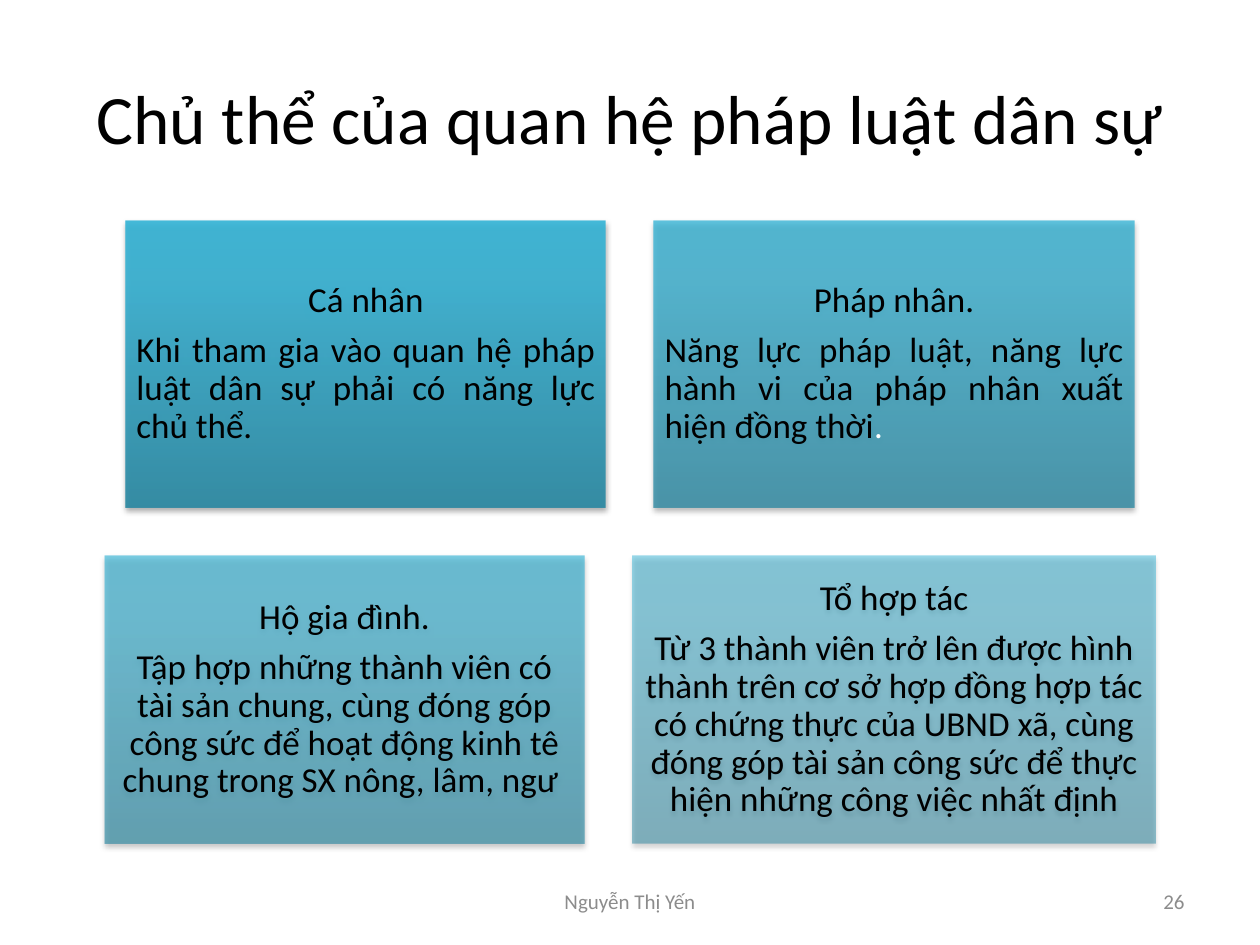
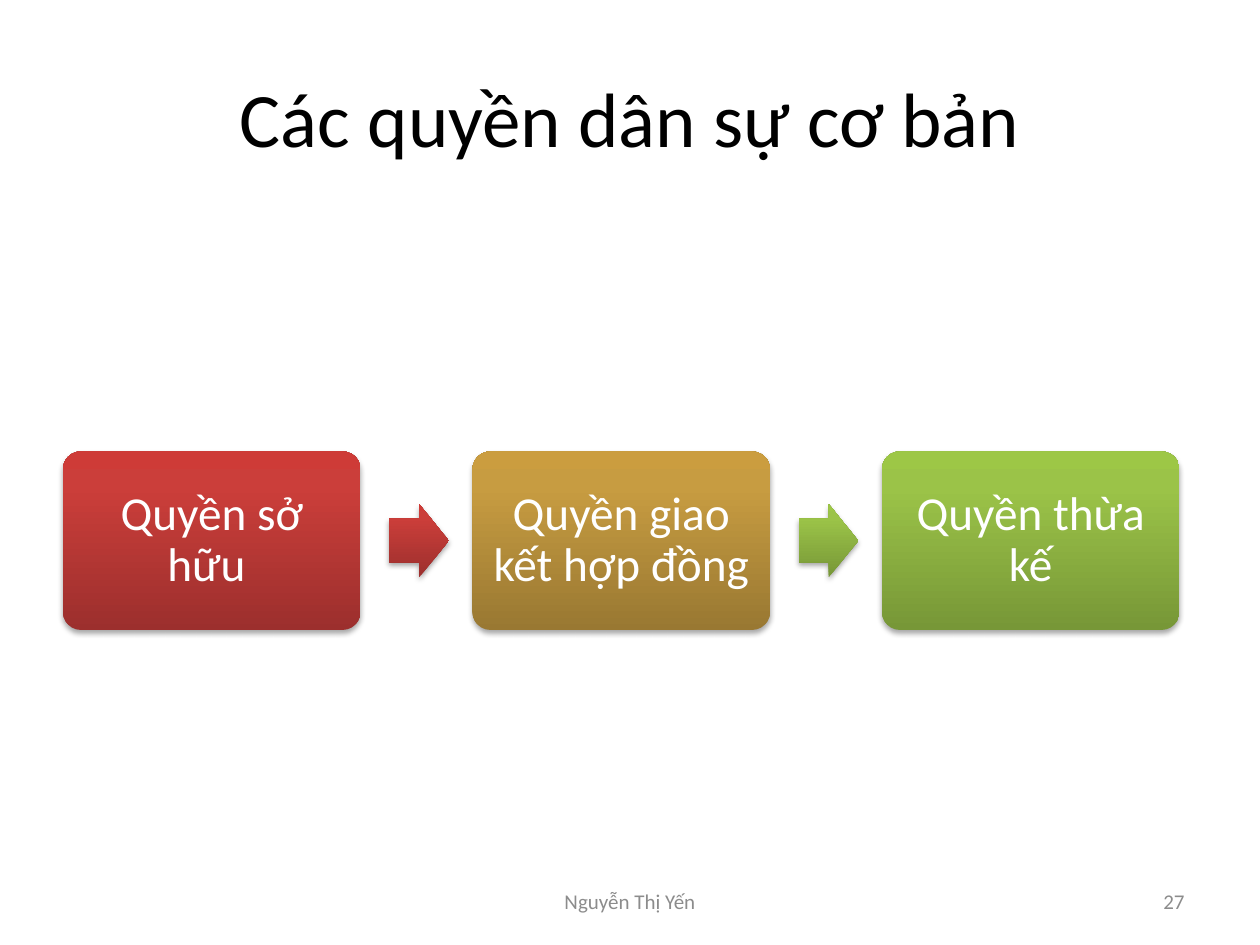
from dataclasses import dataclass

from pptx import Presentation
from pptx.dml.color import RGBColor
from pptx.enum.shapes import MSO_SHAPE
from pptx.enum.text import MSO_ANCHOR, PP_ALIGN
from pptx.oxml import parse_xml
from pptx.oxml.ns import nsdecls, qn
from pptx.util import Pt

RECT = MSO_SHAPE.RECTANGLE
ROUND = MSO_SHAPE.ROUNDED_RECTANGLE
ARROW = MSO_SHAPE.RIGHT_ARROW
MIDDLE = MSO_ANCHOR.MIDDLE
CENTER = PP_ALIGN.CENTER
RIGHT = PP_ALIGN.RIGHT
JUSTIFY = PP_ALIGN.JUSTIFY


@dataclass(frozen=True)
class Theme:
    font: str = "Calibri"
    black: str = "000000"
    white: str = "FFFFFF"
    grey: str = "8C8C8C"
    teal: tuple = ("2A88A2", "37B1D2", "34B4D6")
    red: tuple = ("9C2F2D", "CB3E3A", "CE3B37")
    gold: tuple = ("997832", "C79C41", "CB9D3F")
    green: tuple = ("779737", "9BC348", "9DC746")
    body: float = 20
    step: float = 27
    foot: float = 12


theme = Theme()


def add_panel(slide, kind, box, tones, alpha=100):
    panel = slide.shapes.add_shape(kind, *map(Pt, box))
    panel.line.fill.background()
    panel.fill.background()
    panel.shadow.inherit = False
    props = panel.element.spPr
    stops = "".join(
        f'<a:gs pos="{pos}000"><a:srgbClr val="{tone}">'
        f'<a:alpha val="{alpha}000"/></a:srgbClr></a:gs>'
        for pos, tone in zip((0, 80, 100), tones)
    )
    props.replace(props.find(qn("a:noFill")), parse_xml(
        f'<a:gradFill {nsdecls("a")} rotWithShape="1"><a:gsLst>{stops}</a:gsLst>'
        '<a:lin ang="16200000" scaled="0"/></a:gradFill>'
    ))
    props.find(qn("a:effectLst")).append(parse_xml(
        f'<a:outerShdw {nsdecls("a")} blurRad="{Pt(3.1)}" dist="{Pt(1.8)}" '
        f'dir="5400000" rotWithShape="0"><a:srgbClr val="{theme.black}">'
        '<a:alpha val="35000"/></a:srgbClr></a:outerShdw>'
    ))
    return panel


def write(shape, lines, size, color, inset=None, tight=False):
    frame = shape.text_frame
    frame.word_wrap = True
    frame.vertical_anchor = MIDDLE
    if inset:
        frame.margin_left = frame.margin_right = Pt(inset)
        frame.margin_top = frame.margin_bottom = Pt(inset)
    for i, (text, align) in enumerate(lines):
        para = frame.add_paragraph() if i else frame.paragraphs[0]
        para.text = text
        para.alignment = align
        if tight:
            para.line_spacing = 0.9
            para.space_after = Pt(size * 0.35)
        para.font.name = theme.font
        para.font.size = Pt(size)
        para.font.color.rgb = RGBColor.from_string(color)
    return para


deck = Presentation()
deck.slide_width, deck.slide_height = Pt(720), Pt(540)
blank = deck.slide_layouts[6]

slides = []
for number, title, size in (
    (26, "Chủ thể của quan hệ pháp luật dân sự", 39.6),
    (27, "Các quyền dân sự cơ bản", 44),
):
    slide = deck.slides.add_slide(blank)
    for text, box, align, points, color in (
        (title, (36, 21.6, 648, 90), CENTER, size, theme.black),
        ("Nguyễn Thị Yến", (246, 500.5, 228, 28.75), CENTER, theme.foot, theme.grey),
        (str(number), (516, 500.5, 168, 28.75), RIGHT, theme.foot, theme.grey),
    ):
        label = slide.shapes.add_textbox(*map(Pt, box))
        write(label, [(text, align)], points, color)
    slides.append(slide)

parties, rights = slides

wide, high, gap = 274.3, 164.3, 27.5
rows = (
    (JUSTIFY, (
        ("Cá nhân", "Khi tham gia vào quan hệ pháp luật dân sự phải có năng lực "
         "chủ thể.", "", wide),
        ("Pháp nhân.", "Năng lực pháp luật, năng lực hành vi của pháp nhân xuất "
         "hiện đồng thời", ".", wide),
    )),
    (CENTER, (
        ("Hộ gia đình.", "Tập hợp những thành viên có tài sản chung, cùng đóng góp "
         "công sức để hoạt động kinh tê chung trong SX nông, lâm, ngư ", "", wide),
        ("Tổ hợp tác", "Từ 3 thành viên trở lên được hình thành trên cơ sở hợp đồng "
         "hợp tác có chứng thực của UBND xã, cùng đóng góp tài sản công sức để thực "
         "hiện những công việc nhất định", "", 298.8),
    )),
)
top, count = 126, 0
for align, cards in rows:
    left = (720 - gap - sum(card[3] for card in cards)) / 2
    for head, body, tail, width in cards:
        alpha = round(90 - count * 40 / 3)
        card = add_panel(parties, RECT, (left, top, width, high), theme.teal, alpha)
        para = write(card, [(head, CENTER), (body, align)], theme.body, theme.black,
                     inset=6, tight=True)
        if tail:
            run = para.add_run()
            run.text = tail
            run.font.color.rgb = RGBColor.from_string(theme.white)
        left += width + gap
        count += 1
    top += high + gap

steps = (
    ("Quyền sở hữu ", theme.red, theme.red),
    ("Quyền giao kết hợp đồng", theme.gold, theme.green),
    ("Quyền thừa kế", theme.green, None),
)
for i, (text, tones, next_tones) in enumerate(steps):
    left = 36 + 234 * i
    step = add_panel(rights, ROUND, (left, 258, 170, 102), tones)
    step.adjustments[0] = 0.1
    write(step, [(text, CENTER)], theme.step, theme.white, inset=8, tight=True)
    if next_tones:
        arrow = add_panel(rights, ARROW, (left + 186.5, 288, 34, 42), next_tones)
        arrow.adjustments[0] = 0.6
        arrow.adjustments[1] = 0.5

deck.save("out.pptx")
